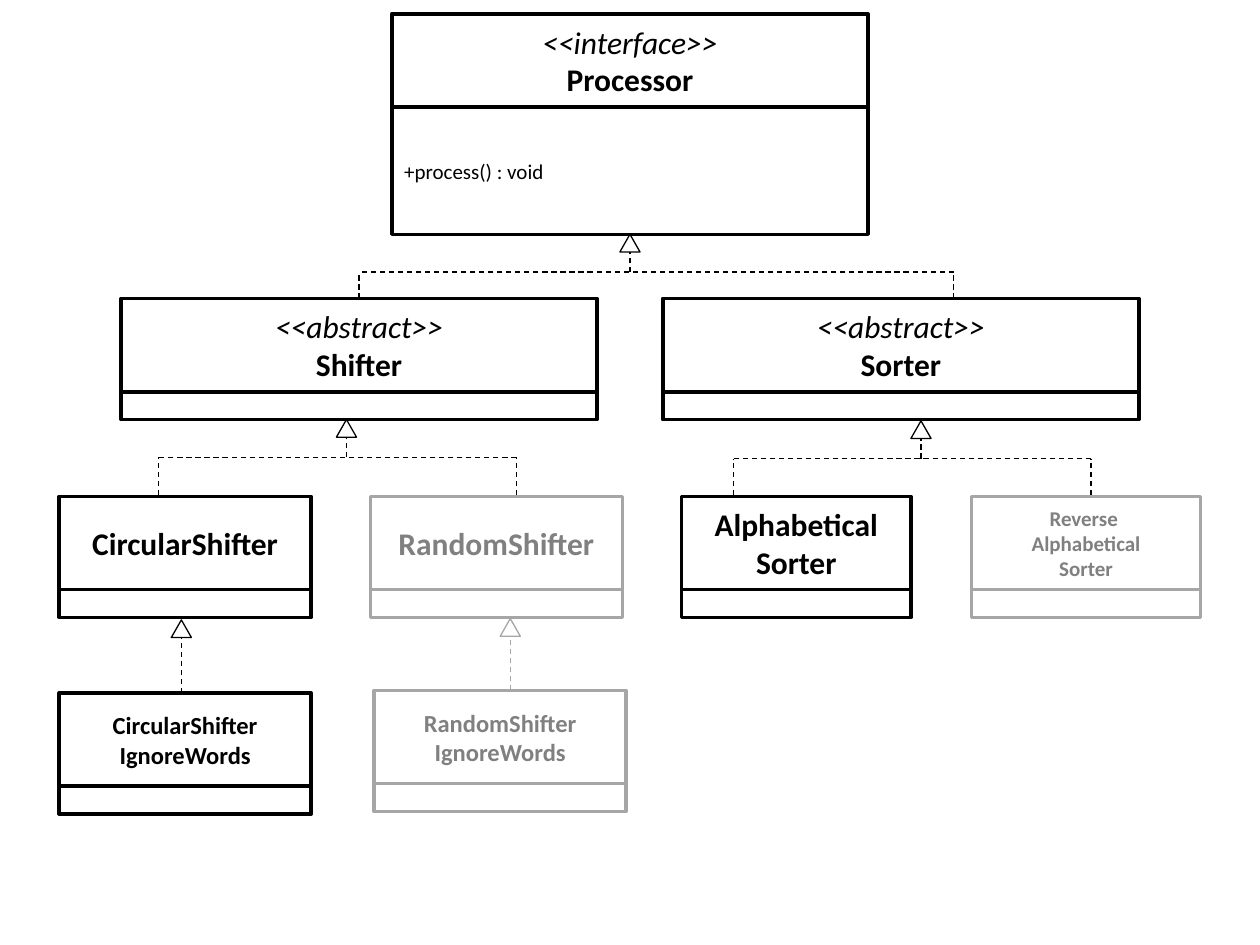
from copy import deepcopy

from lxml import etree
from pptx import Presentation
from pptx.dml.color import RGBColor
from pptx.enum.dml import MSO_LINE
from pptx.enum.shapes import MSO_CONNECTOR, MSO_SHAPE
from pptx.enum.text import MSO_ANCHOR, PP_ALIGN
from pptx.oxml.ns import qn
from pptx.util import Inches, Pt

COLORS = {"white": "FFFFFF", "black": "000000", "gray_line": "A6A6A6", "gray_text": "808080"}
ACTIVE = ("black", "black")
FADED = ("gray_line", "gray_text")
HEAD_H, BODY_H = 0.74, 0.22
BAR_DROP = 0.3


def rgb(name):
    """Return the named colour."""
    return RGBColor.from_string(COLORS[name])


def add_outline(shapes, kind, x, y, w, h, line, width):
    """Add a white shape with a plain outline."""
    sp = shapes.add_shape(kind, Inches(x), Inches(y), Inches(w), Inches(h))
    sp.shadow.inherit = False
    sp.fill.solid()
    sp.fill.fore_color.rgb = rgb("white")
    sp.line.color.rgb = rgb(line)
    sp.line.width = Pt(width)
    return sp


def write(sp, text, size, color, align, bold=False, stereotype=False):
    """Write text in a shape, with an italic first line for a stereotype."""
    tf = sp.text_frame
    tf.text = text
    tf.word_wrap = True
    tf.vertical_anchor = MSO_ANCHOR.MIDDLE
    for i, p in enumerate(tf.paragraphs):
        p.alignment = align
        italic = stereotype and i == 0
        for r in p.runs:
            r.font.name = "Calibri"
            r.font.size = Pt(size)
            r.font.color.rgb = rgb(color)
            r.font.italic = italic
            r.font.bold = bold and not italic
        for br in p._p.findall(qn("a:br")):
            br.append(deepcopy(p.runs[0]._r.rPr))


def add_class(s, x, y, w, name, size=18, style=ACTIVE, stereotype="", members="", body_h=BODY_H):
    """Add a class box: a name compartment above a member compartment."""
    line, ink = style
    shapes = s.shapes.add_group_shape().shapes
    head = add_outline(shapes, MSO_SHAPE.RECTANGLE, x, y, w, HEAD_H, line, 2)
    title = f"<<{stereotype}>>\n{name}" if stereotype else name
    write(head, title, size, ink, PP_ALIGN.CENTER, bold=True, stereotype=bool(stereotype))
    body = add_outline(shapes, MSO_SHAPE.RECTANGLE, x, y + HEAD_H, w, body_h, line, 2)
    if members:
        write(body, members, 12, ink, PP_ALIGN.LEFT)


def add_dash(s, x1, y1, x2, y2, color):
    """Add a thin dashed line."""
    ln = s.shapes.add_connector(
        MSO_CONNECTOR.STRAIGHT, Inches(x1), Inches(y1), Inches(x2), Inches(y2))
    ln.line.color.rgb = rgb(color)
    ln.line.width = Pt(0.75)
    ln.line.dash_style = MSO_LINE.DASH
    etree.SubElement(ln._element.spPr, qn("a:effectLst"))


def add_inheritance(s, x, y, child_y, children=(), color="black"):
    """Add a hollow arrow at a parent, branching to its children."""
    bar_y = y + BAR_DROP if children else child_y
    add_dash(s, x, bar_y, x, y + 0.1, color)
    for child_x in children:
        add_dash(s, child_x, child_y, child_x, bar_y, color)
    if children:
        add_dash(s, children[-1], bar_y, children[0], bar_y, color)
    add_outline(s.shapes, MSO_SHAPE.ISOSCELES_TRIANGLE, x - 0.08, y, 0.16, 0.14, color, 0.75)


def add_diagram(s):
    """Lay out the classes level by level, then their inheritance arrows."""
    add_class(s, 3.11, 0.11, 3.78, "Processor", stereotype="interface",
              members="+process() : void", body_h=1.01)
    for x, name in ((0.96, "Shifter"), (5.26, "Sorter")):
        add_class(s, x, 2.37, 3.78, name, stereotype="abstract")
    for x, w, name, size, style in (
        (0.47, 2, "CircularShifter", 18, ACTIVE),
        (2.94, 2, "RandomShifter", 18, FADED),
        (5.41, 1.82, "Alphabetical\vSorter", 18, ACTIVE),
        (7.71, 1.82, "Reverse \vAlphabetical\vSorter", 12, FADED),
    ):
        add_class(s, x, 3.94, w, name, size, style)
    add_class(s, 0.47, 5.5, 2, "CircularShifter\vIgnoreWords", 14)
    add_class(s, 2.97, 5.48, 2, "RandomShifter\vIgnoreWords", 14, FADED)

    add_inheritance(s, 5, 1.86, 2.37, (2.85, 7.57))
    add_inheritance(s, 2.75, 3.33, 3.93, (1.26, 4.1))
    add_inheritance(s, 7.31, 3.34, 3.93, (5.82, 8.66))
    add_inheritance(s, 1.44, 4.92, 5.5)
    add_inheritance(s, 4.05, 4.91, 5.48, color="gray_line")


prs = Presentation()
prs.slide_width, prs.slide_height = Inches(10), Inches(7.5)
add_diagram(prs.slides.add_slide(prs.slide_layouts[6]))
prs.save("out.pptx")
